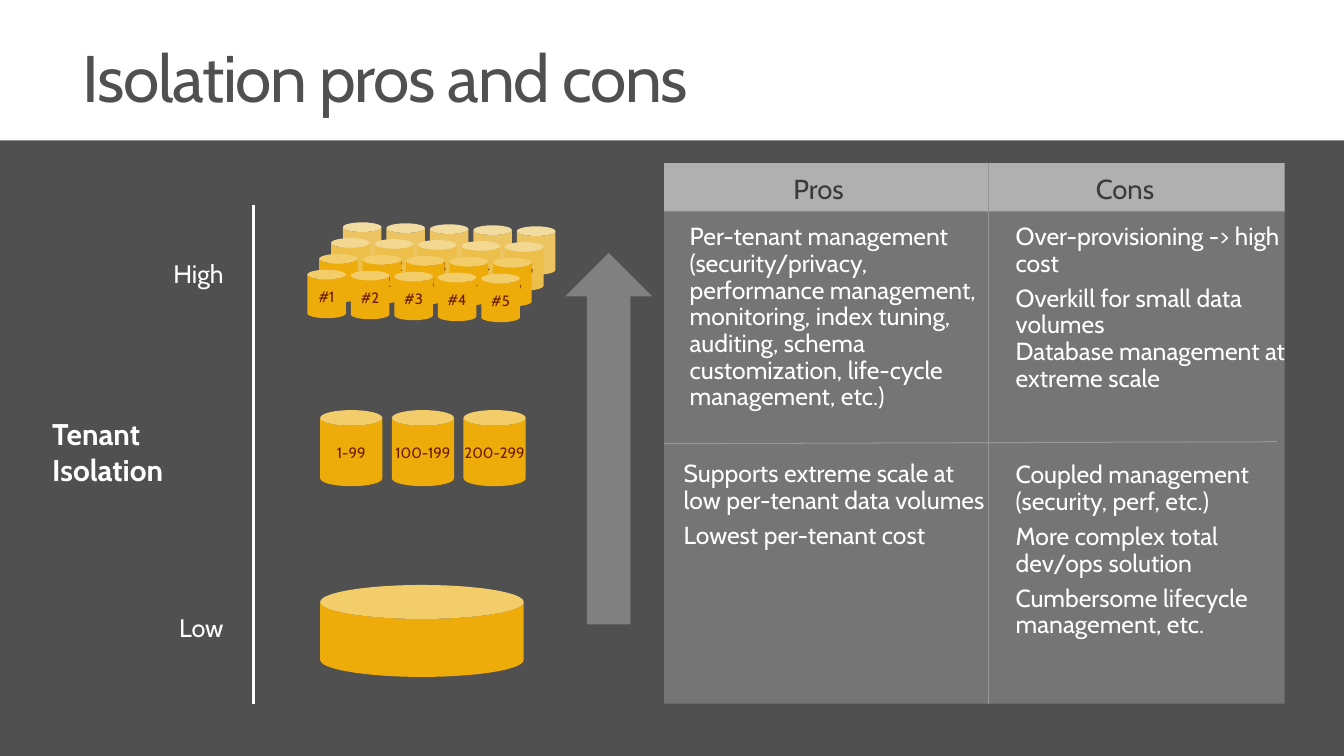
import pptx
import pptx.dml.color
import pptx.enum.shapes
import pptx.enum.text
import pptx.util
from lxml import etree
from pptx.util import Inches

SHAPE = pptx.enum.shapes.MSO_SHAPE
ALIGN = pptx.enum.text.PP_ALIGN
ANCHOR = pptx.enum.text.MSO_ANCHOR
COLORS = {
    "white": "FFFFFF", "dark": "505050", "panel": "757575", "arrow": "808080",
    "header": "B0B0B0", "heading": "3A3A3A", "rule": "969696",
    "gold": "EDAC09", "pale gold": "ECBE4A", "palest gold": "ECC562", "label": "6C1D00",
}


def rgb(name):
    return pptx.dml.color.RGBColor.from_string(COLORS[name])


def write(frame, paragraphs, size, color="white", align=ALIGN.LEFT, wrap=True, bold=False, **spacing):
    """Fill a text frame with (text, points before) pairs in one style."""
    frame.word_wrap = wrap
    for number, (text, before) in enumerate(paragraphs):
        paragraph = frame.paragraphs[0] if number == 0 else frame.add_paragraph()
        paragraph.text = text
        paragraph.alignment = align
        paragraph.space_before = pptx.util.Pt(before)
        for name, value in spacing.items():
            setattr(paragraph, name, value)
        for run in paragraph.runs:
            font = {"name": "Cabin", "size": pptx.util.Pt(size), "bold": bold}
            for name, value in font.items():
                setattr(run.font, name, value)
            run.font.color.rgb = rgb(color)


presentation = pptx.Presentation()
presentation.slide_width = Inches(13.6)
presentation.slide_height = Inches(7.65)
slide = presentation.slides.add_slide(presentation.slide_layouts[6])
slide.background.fill.solid()
slide.background.fill.fore_color.rgb = rgb("dark")

# Bands, panel, arrow and database cans: kind, box, colour, label
parts = [
    (SHAPE.RECTANGLE, (0, 0, 13.6, 1.42), "white", ""),
    (SHAPE.RECTANGLE, (6.72, 2.05, 6.28, 5.07), "panel", ""),
    (SHAPE.RECTANGLE, (6.72, 1.65, 6.28, 0.49), "header", ""),
    (SHAPE.UP_ARROW, (5.72, 2.56, 0.88, 3.76), "arrow", ""),
]
for column, tenants in enumerate(["1-99", "100-199", "200-299"]):
    parts.append((SHAPE.CAN, (3.24 + 0.725 * column, 4.15, 0.63, 0.77), "gold", tenants))
for row, color in enumerate(["palest gold", "pale gold", "gold", "gold"]):
    for column in range(5):
        box = (3.47 - 0.12 * row + 0.44 * column, 2.25 + 0.16 * row + 0.01 * column, 0.39, 0.49)
        parts.append((SHAPE.CAN, box, color, f"#{column + 1}" if row else ""))
shared_database = (SHAPE.CAN, (3.24, 5.92, 2.06, 0.93), "gold", "")
parts.append(shared_database)

for part in parts:
    kind, box, color, label = part
    shape = slide.shapes.add_shape(kind, *map(Inches, box))
    shape.shadow.inherit = False
    shape.fill.solid()
    shape.fill.fore_color.rgb = rgb(color)
    shape.line.fill.background()
    if part is shared_database:
        shape.adjustments[0] = 0.37
    if label:
        frame = shape.text_frame
        for side in ("left", "top", "right", "bottom"):
            setattr(frame, f"margin_{side}", 0)
        frame.vertical_anchor = ANCHOR.MIDDLE
        write(frame, [(label, 0)], 10.9, "label", ALIGN.CENTER, wrap=False)

# Isolation axis, row divider, column divider
for start, end, color, width in [
    ((2.57, 7.12), (2.57, 2.07), "white", 2.25),
    ((6.72, 4.49), (12.92, 4.47), "rule", 0.75),
    ((10, 1.65), (10, 7.12), "rule", 0.75),
]:
    line = slide.shapes.add_connector(
        pptx.enum.shapes.MSO_CONNECTOR.STRAIGHT, *map(Inches, start + end))
    line.line.color.rgb = rgb(color)
    line.line.width = pptx.util.Pt(width)
    etree.SubElement(line._element.spPr, pptx.oxml.ns.qn("a:effectLst"))

title = slide.shapes.add_textbox(Inches(0.68), Inches(0.37), Inches(12.24), Inches(0.91)).text_frame
title.margin_left = title.margin_right = Inches(0.16)
title.margin_top = title.margin_bottom = Inches(0.1)
title.vertical_anchor = ANCHOR.MIDDLE
write(title, [("Isolation pros and cons", 0)], 48, "dark", line_spacing=0.9)
title.paragraphs[0].runs[0].font._element.set("spc", "-100")

labels = [
    ("Tenant Isolation", (0.43, 4.16, 1.65, 0.83), {"size": 21.8, "bold": True}),
    ("Low", (0.91, 6.15, 1.45, 0.41), {"size": 18.4, "align": ALIGN.RIGHT}),
    ("High", (0.75, 2.56, 1.61, 0.41), {"size": 18.4, "align": ALIGN.RIGHT}),
    ("Pros", (7.93, 1.69, 0.74, 0.44), {"size": 20, "color": "heading", "wrap": False}),
    ("Cons", (10.99, 1.69, 0.82, 0.44), {"size": 20, "color": "heading", "wrap": False}),
]
for text, box, style in labels:
    write(slide.shapes.add_textbox(*map(Inches, box)).text_frame, [(text, 0)], **style)

arguments = [
    ((6.88, 2.22, 3.52, 2.01), [
        ("Per-tenant management\n(security/privacy,", 6),
        ("performance management, monitoring, index tuning,", 0),
        ("auditing, schema customization, life-cycle management, etc.)", 0)]),
    ((10.18, 2.22, 3, 1.82), [
        ("Over-provisioning -> high cost", 6),
        ("Overkill for small data volumes", 6),
        ("Database management at extreme scale", 0)]),
    ((6.82, 4.62, 3.31, 1.28), [
        ("Supports extreme scale at low per-tenant data volumes", 6),
        ("Lowest per-tenant cost", 6)]),
    ((10.18, 4.63, 3, 1.91), [
        ("Coupled management (security, perf, etc.)", 6),
        ("More complex total dev/ops solution", 6),
        ("Cumbersome lifecycle management, etc.", 6)]),
]
for box, points in arguments:
    write(slide.shapes.add_textbox(*map(Inches, box)).text_frame, points, 18, line_spacing=0.9)

presentation.save("out.pptx")
